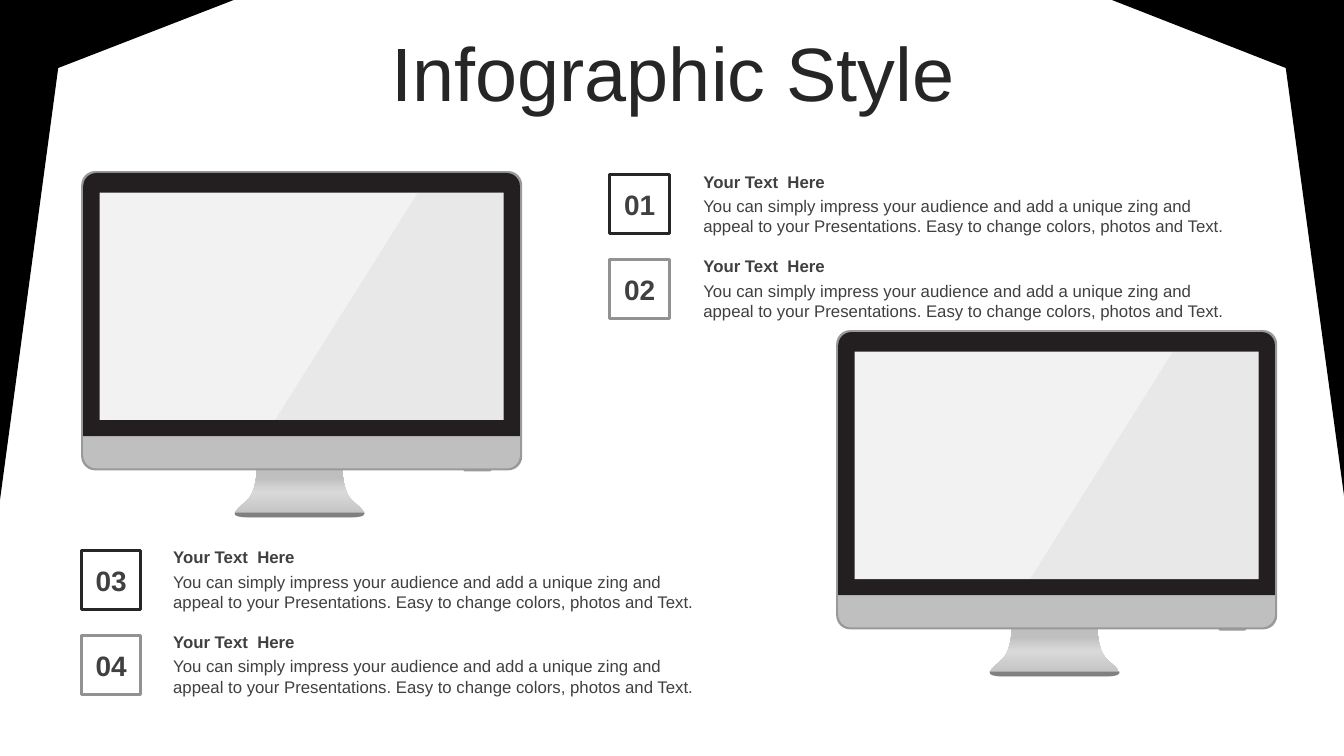
from lxml import etree
from pptx import Presentation
from pptx.dml.color import RGBColor
from pptx.enum.shapes import MSO_SHAPE
from pptx.enum.text import MSO_ANCHOR, PP_ALIGN
from pptx.oxml.ns import qn
from pptx.util import Pt

RECTANGLE = MSO_SHAPE.RECTANGLE
ROUNDED = MSO_SHAPE.ROUNDED_RECTANGLE
TWO_ROUNDED = MSO_SHAPE.ROUND_2_SAME_RECTANGLE
MIDDLE = MSO_ANCHOR.MIDDLE
CENTER = PP_ALIGN.CENTER
LEFT = PP_ALIGN.LEFT

BLACK = RGBColor(0x00, 0x00, 0x00)
INK = RGBColor(0x26, 0x26, 0x26)
TEXT = RGBColor(0x40, 0x40, 0x40)
FRAME = RGBColor(0x23, 0x1F, 0x20)
FOOT = RGBColor(0x80, 0x80, 0x80)
BORDER = RGBColor(0x92, 0x92, 0x92)
EDGE = RGBColor(0x99, 0x99, 0x99)
SILVER = RGBColor(0xBF, 0xBF, 0xBF)
SHINE = RGBColor(0xD9, 0xD9, 0xD9)
SCREEN = RGBColor(0xF2, 0xF2, 0xF2)

FONT = "Arial"
SLIDE_WIDTH, SLIDE_HEIGHT = 960, 540
HEADING = "Your Text  Here"
BODY = ("You can simply impress your audience and add a unique zing and "
        "appeal to your Presentations. Easy to change colors, photos and Text.")
STAND_STOPS = ((0, SILVER), (53, SHINE), (83, SILVER), (100, SILVER))


def paint(shape, color):
    """Give a shape a plain fill without line or shadow."""
    shape.shadow.inherit = False
    shape.fill.solid()
    shape.fill.fore_color.rgb = color
    shape.line.fill.background()
    return shape


def add_block(slide, preset, left, top, width, height, color, radii=()):
    """Add a filled preset shape whose corner radii are in points."""
    shape = slide.shapes.add_shape(preset, Pt(left), Pt(top), Pt(width), Pt(height))
    for index, radius in enumerate(radii):
        shape.adjustments[index] = radius / min(width, height)
    return paint(shape, color)


def add_outline(slide, left, top, points, color):
    """Add a filled polygon with points relative to left and top."""
    corners = [(Pt(left + x), Pt(top + y)) for x, y in points]
    builder = slide.shapes.build_freeform(*corners[0])
    builder.add_line_segments(corners[1:])
    return paint(builder.convert_to_shape(), color)


def curve(start, first, second, end, steps=16):
    """Return the points along a cubic curve."""
    points = []
    for step in range(steps + 1):
        t = step / steps
        weights = ((1 - t) ** 3, 3 * t * (1 - t) ** 2, 3 * t * t * (1 - t), t ** 3)
        points.append(tuple(sum(weight * point[axis] for weight, point
                                in zip(weights, (start, first, second, end)))
                            for axis in (0, 1)))
    return points


def mirrored(profile):
    """Close a right-hand profile with its mirror image."""
    return profile + [(-x, y) for x, y in reversed(profile)]


def set_stand_gradient(shape):
    """Fill the stand with a brushed metal gradient running upwards."""
    shape.fill.gradient()
    shape.fill.gradient_angle = 90
    stops = shape._element.spPr.find(".//" + qn("a:gsLst"))
    for stop in list(stops):
        stops.remove(stop)
    for position, color in STAND_STOPS:
        stop = etree.SubElement(stops, qn("a:gs"), pos=str(position * 1000))
        etree.SubElement(stop, qn("a:srgbClr"), val=str(color))


def add_monitor(slide, left, top):
    """Draw a desktop monitor from its top left corner."""
    middle = left + 156
    neck = curve((30.6, 213), (30.6, 213), (30.6, 228), (37, 234.7))
    flare = curve((37, 234.7), (44, 241.2), (54, 247.5), (36, 247.5))
    stand = add_outline(slide, middle, top, mirrored(neck + flare), SILVER)
    set_stand_gradient(stand)

    add_block(slide, ROUNDED, left, top, 315, 213.8, EDGE, (10,))
    add_block(slide, TWO_ROUNDED, left + 273, top + 212, 20, 2.6, EDGE, (0, 1.3))
    add_block(slide, TWO_ROUNDED, left + 1.4, top + 1.4, 312, 188, FRAME, (9.5, 0))
    foot = curve((46.4, 244), (46.4, 246.5), (43, 247.2), (36, 247.2))
    add_outline(slide, middle, top, mirrored(foot), FOOT)
    add_block(slide, TWO_ROUNDED, left + 1.4, top + 189.4, 312, 23, SILVER, (0, 9.5))
    add_block(slide, RECTANGLE, left + 13.2, top + 15.4, 288.6, 162.4, SCREEN)

    glare = add_outline(slide, left, top, [(240.5, 15.4), (301.8, 15.4),
                                           (301.8, 177.8), (138.5, 177.8)], EDGE)
    color = glare._element.spPr.find(".//" + qn("a:srgbClr"))
    etree.SubElement(color, qn("a:alpha"), val="10000")


def write(frame, text, size, color, bold=False, alignment=LEFT):
    """Write one formatted run into the first paragraph of a frame."""
    frame.word_wrap = True
    paragraph = frame.paragraphs[0]
    paragraph.alignment = alignment
    run = paragraph.add_run()
    run.text = text
    run.font.name = FONT
    run.font.size = Pt(size)
    run.font.bold = bold
    run.font.color.rgb = color


def add_item(slide, left, top, width, number, border):
    """Place a numbered square with its heading and text at the right."""
    square = slide.shapes.add_shape(RECTANGLE, Pt(left), Pt(top), Pt(42.5), Pt(42.5))
    square.shadow.inherit = False
    square.fill.background()
    square.line.color.rgb = border
    square.line.width = Pt(2)
    frame = square.text_frame
    frame.margin_left = frame.margin_right = 0
    frame.vertical_anchor = MIDDLE
    write(frame, f"{number:02}", 20, TEXT, True, CENTER)

    text_width = 402.5
    text_left = left + width - text_width
    for offset, height, text, bold in ((-5.8, 21.6, HEADING, True),
                                       (11.5, 36, BODY, False)):
        box = slide.shapes.add_textbox(Pt(text_left), Pt(top + offset),
                                       Pt(text_width), Pt(height))
        write(box.text_frame, text, 12, TEXT, bold)


def add_item_column(slide, left, top, width, first_number):
    """Stack two numbered items, dark above grey."""
    for row, border in enumerate((INK, BORDER)):
        add_item(slide, left, top + row * 60.7, width, first_number + row, border)


def add_corner(slide, edge, direction, reach, drop):
    """Draw a black corner growing inwards from a slide edge."""
    points = [(0, 0), (reach, 0), (41.6, 48.6), (0, drop)]
    add_outline(slide, edge, 0, [(direction * x, y) for x, y in points], BLACK)


def add_title(slide, left, top, width, height):
    """Move and fill the title placeholder."""
    title = slide.shapes.title
    title.left, title.top = Pt(left), Pt(top)
    title.width, title.height = Pt(width), Pt(height)
    title.text_frame.vertical_anchor = MIDDLE
    write(title.text_frame, "Infographic Style", 54, INK, alignment=CENTER)
    title.text_frame.paragraphs[0].line_spacing = 0.9


def main():
    """Build the slide and save it."""
    presentation = Presentation()
    presentation.slide_width = Pt(SLIDE_WIDTH)
    presentation.slide_height = Pt(SLIDE_HEIGHT)
    slide = presentation.slides.add_slide(presentation.slide_layouts[5])

    add_monitor(slide, 58, 122.2)
    add_monitor(slide, 597.3, 235.8)
    add_title(slide, 25.2, 26.6, 911.5, 56.9)
    add_item_column(slide, 435.6, 124.6, 462.2, 1)
    add_item_column(slide, 58.1, 393, 461, 3)
    add_corner(slide, SLIDE_WIDTH, -1, 165.8, 354)
    add_corner(slide, 0, 1, 167, 357)
    presentation.save("out.pptx")


if __name__ == "__main__":
    main()
